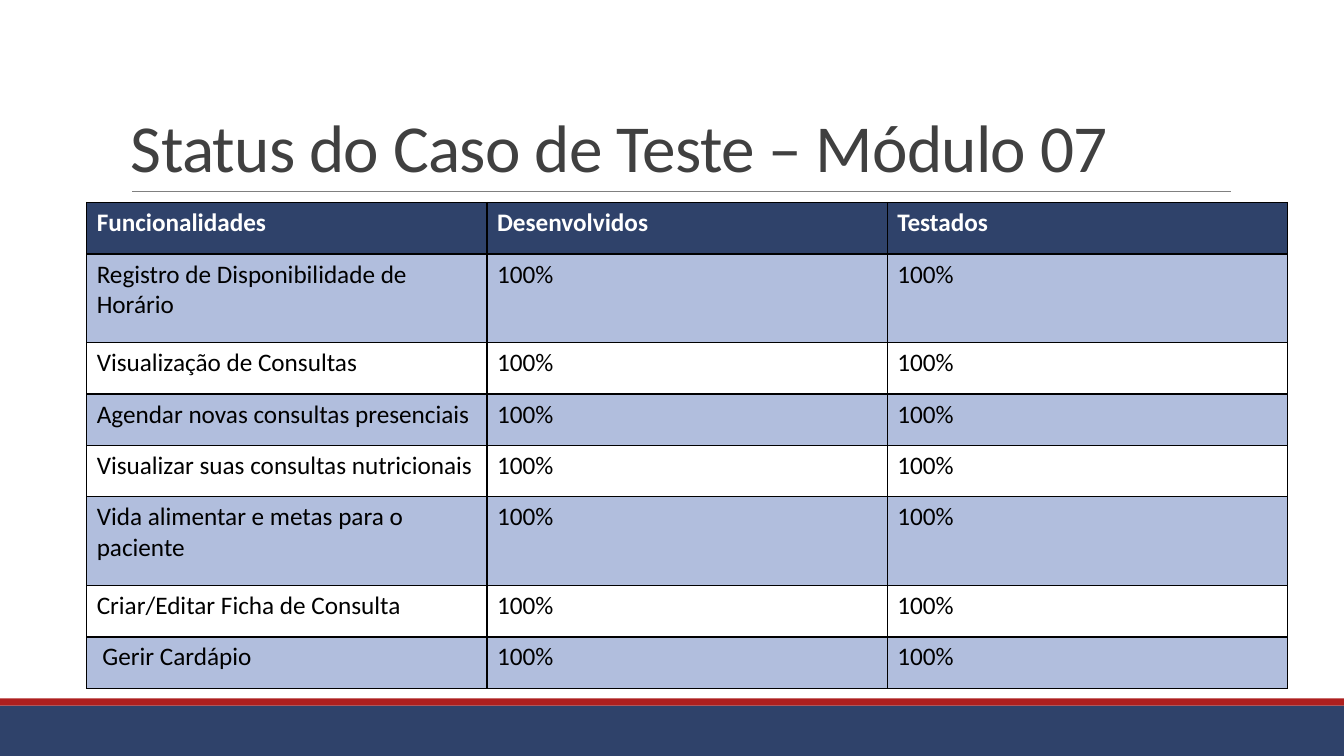
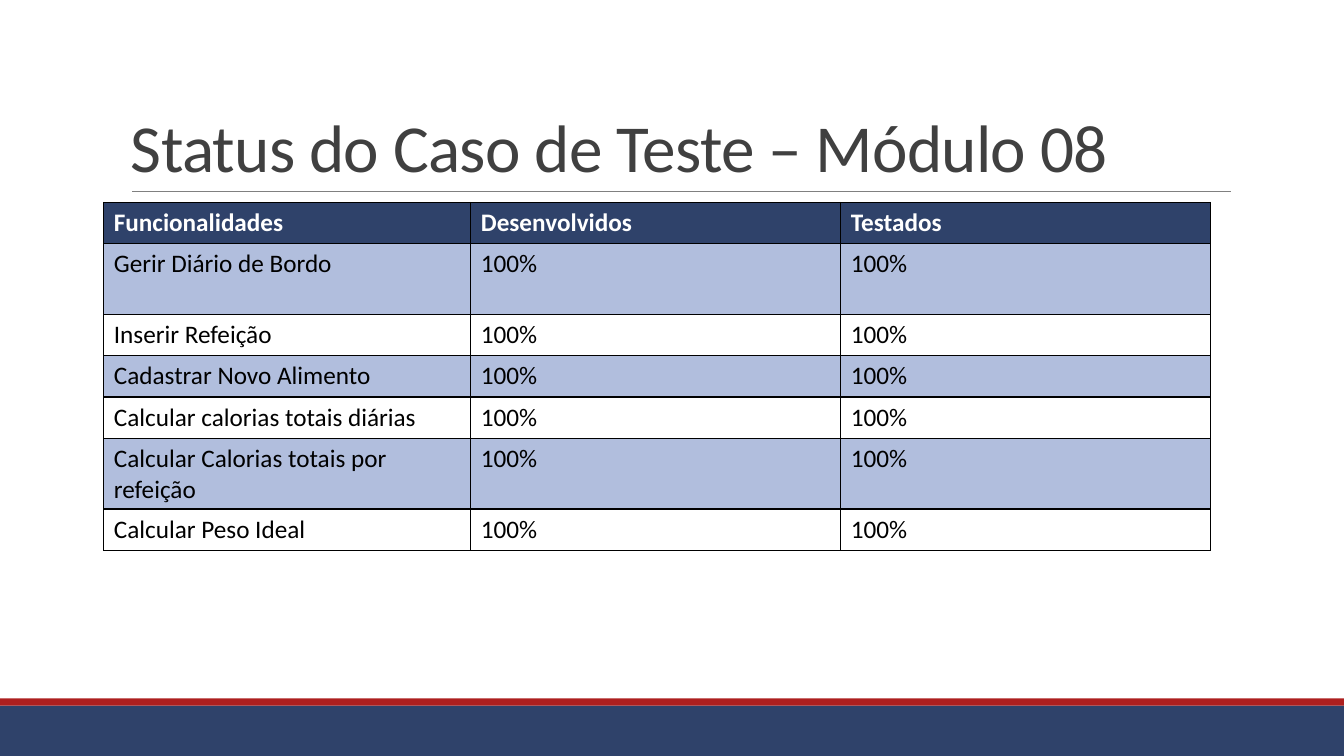
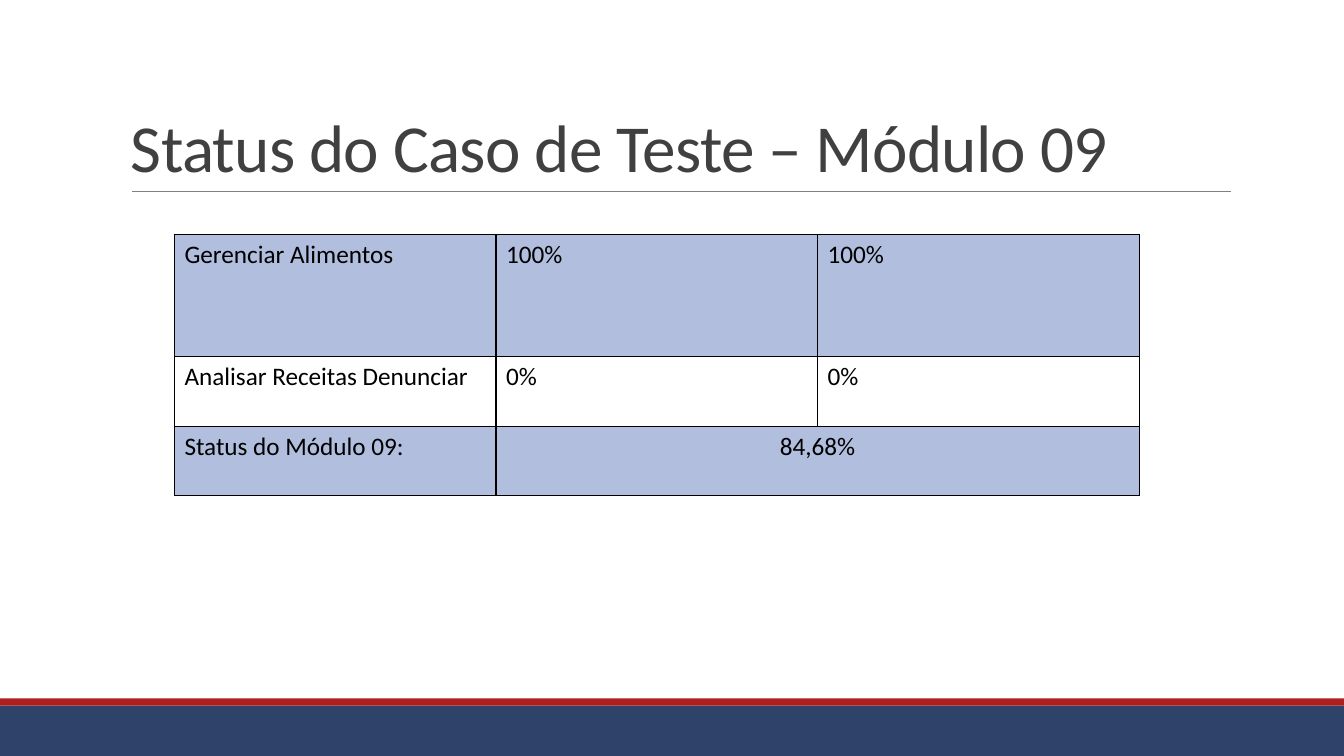
from lxml import etree
from pptx import Presentation
from pptx.dml.color import RGBColor
from pptx.enum.shapes import MSO_CONNECTOR, MSO_SHAPE
from pptx.enum.text import MSO_ANCHOR, PP_ALIGN
from pptx.oxml import parse_xml
from pptx.oxml.ns import nsdecls, qn
from pptx.util import Inches, Pt

FONT = "Calibri"
NAVY, RED, GRAY, DARK = "2F426A", "AD1F1F", "808080", "404040"
BLUE, WHITE, BLACK = "B1BEDD", "FFFFFF", "000000"
BANDS = [(7, 0.5, NAVY), (6.93, 0.07, RED)]  # top, height, colour

HEADER = ("Funcionalidades", "Desenvolvidos", "Testados")
# Each row is its height and its texts; a row with two texts merges its last columns.
MODULES = [
    {
        "number": "07", "at": (0.86, 2.01), "cols": (3.97, 3.97, 3.97), "header": True,
        "rows": [
            (0.51, HEADER),
            (0.88, ("Registro de Disponibilidade de Horário", "100%", "100%")),
            (0.51, ("Visualização de Consultas", "100%", "100%")),
            (0.51, ("Agendar novas consultas presenciais", "100%", "100%")),
            (0.51, ("Visualizar suas consultas nutricionais", "100%", "100%")),
            (0.88, ("Vida alimentar e metas para o paciente", "100%", "100%")),
            (0.51, ("Criar/Editar Ficha de Consulta", "100%", "100%")),
            (0.51, (" Gerir Cardápio", "100%", "100%")),
        ],
    },
    {
        "number": "08", "at": (1.03, 2.01), "cols": (3.64, 3.67, 3.67), "header": True,
        "rows": [
            (0.41, HEADER),
            (0.7, ("Gerir Diário de Bordo", "100%", "100%")),
            (0.41, ("Inserir Refeição", "100%", "100%")),
            (0.41, ("Cadastrar Novo Alimento", "100%", "100%")),
            (0.41, ("Calcular calorias totais diárias", "100%", "100%")),
            (0.7, ("Calcular Calorias totais por refeição", "100%", "100%")),
            (0.41, ("Calcular Peso Ideal", "100%", "100%")),
        ],
    },
    {
        "number": "09", "at": (1.73, 2.33), "cols": (3.19, 3.19, 3.19), "header": False,
        "rows": [
            (1.21, ("Gerenciar Alimentos", "100%", "100%")),
            (0.69, ("Analisar Receitas Denunciar", "0%", "0%")),
            (0.69, ("Status do Módulo 09:", "84,68%")),
        ],
    },
]


def rgb(color):
    return RGBColor.from_string(color)


def add_run(p, text, size, color, bold=False):
    r = p.add_run()
    r.text = text
    r.font.name, r.font.size, r.font.bold = FONT, Pt(size), bold
    r.font.color.rgb = rgb(color)
    return r


def add_frame(slide):
    """Add the footer bands and the rule below the title."""
    for top, height, color in BANDS:
        sp = slide.shapes.add_shape(MSO_SHAPE.RECTANGLE, 0, Inches(top), prs.slide_width, Inches(height))
        sp.shadow.inherit = False
        sp.fill.solid()
        sp.fill.fore_color.rgb = rgb(color)
        sp.line.fill.background()
    rule = slide.shapes.add_connector(
        MSO_CONNECTOR.STRAIGHT, Inches(1.31), Inches(1.9), Inches(12.21), Inches(1.9))
    rule.line.color.rgb = rgb(GRAY)
    rule.line.width = Pt(0.5)
    etree.SubElement(rule._element.spPr, qn("a:effectLst"))


def add_title(slide, text):
    tf = slide.shapes.add_textbox(Inches(1.2), Inches(0.31), Inches(11), Inches(1.59)).text_frame
    tf.word_wrap = True
    tf.vertical_anchor = MSO_ANCHOR.BOTTOM
    p = tf.paragraphs[0]
    p.line_spacing = 0.85
    r = add_run(p, text, 48, DARK)
    r.font._element.set("spc", "-50")


def set_borders(cell):
    tc_pr = cell._tc.get_or_add_tcPr()
    for i, side in enumerate("LRTB"):
        tc_pr.insert(i, parse_xml(
            f'<a:ln{side} {nsdecls("a")} w="{Pt(1)}"><a:solidFill>'
            f'<a:srgbClr val="{BLACK}"/></a:solidFill></a:ln{side}>'))


def add_status_table(slide, module):
    rows, cols = module["rows"], module["cols"]
    left, top = module["at"]
    height = sum(h for h, _ in rows)
    table = slide.shapes.add_table(len(rows), len(cols), Inches(left), Inches(top),
                                   Inches(sum(cols)), Inches(height)).table
    table.first_row = module["header"]
    for col, width in zip(table.columns, cols):
        col.width = Inches(width)
    for i, (height, texts) in enumerate(rows):
        table.rows[i].height = Inches(height)
        is_header = module["header"] and i == 0
        shaded = i % 2 == int(module["header"])
        fill = NAVY if is_header else BLUE if shaded else WHITE
        for cell in table.rows[i].cells:
            cell.fill.solid()
            cell.fill.fore_color.rgb = rgb(fill)
            set_borders(cell)
        for j, text in enumerate(texts):
            p = table.cell(i, j).text_frame.paragraphs[0]
            add_run(p, text, 18, WHITE if is_header else BLACK, is_header)
        if len(texts) < len(cols):
            p.alignment = PP_ALIGN.CENTER
            table.cell(i, len(texts) - 1).merge(table.cell(i, len(cols) - 1))


prs = Presentation()
prs.slide_width, prs.slide_height = Inches(13.33), Inches(7.5)
for module in MODULES:
    slide = prs.slides.add_slide(prs.slide_layouts[6])
    add_frame(slide)
    add_title(slide, f"Status do Caso de Teste – Módulo {module['number']}")
    add_status_table(slide, module)
prs.save("out.pptx")
